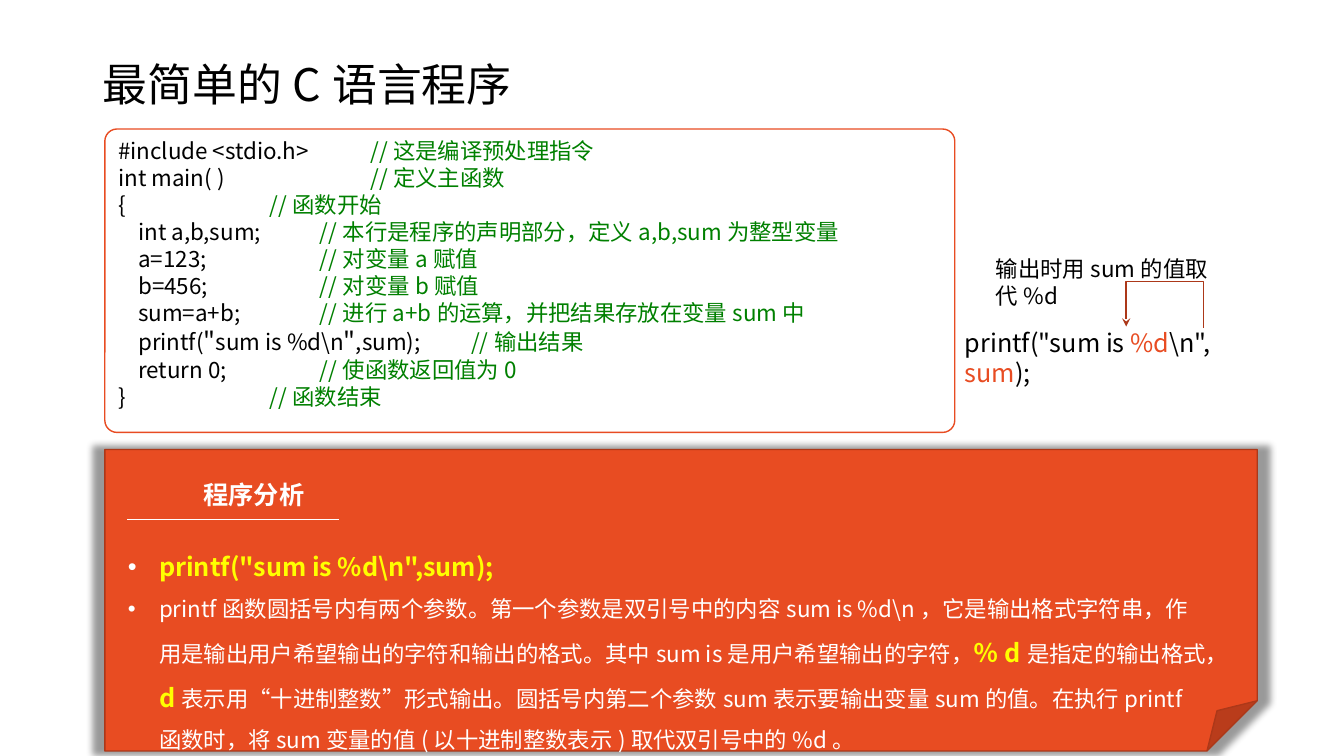
from lxml.etree import SubElement
from pptx import Presentation
from pptx.dml.color import RGBColor
from pptx.enum.shapes import MSO_CONNECTOR, MSO_SHAPE
from pptx.enum.text import MSO_ANCHOR, MSO_AUTO_SIZE, PP_ALIGN
from pptx.oxml.ns import qn
from pptx.util import Pt

PX = 9144
FONT = "Noto Sans CJK SC"
BLACK = RGBColor(0x00, 0x00, 0x00)
WHITE = RGBColor(0xFF, 0xFF, 0xFF)
GREEN = RGBColor(0x00, 0x80, 0x00)
YELLOW = RGBColor(0xFF, 0xFF, 0x00)
ORANGE = RGBColor(0xE8, 0x4C, 0x22)
RUST = RGBColor(0xAC, 0x38, 0x19)

CODE = [
    ("#include <stdio.h>\t\t", "//这是编译预处理指令"),
    ("int main( )\t\t\t", "//定义主函数"),
    ("{ \t\t\t", "//函数开始"),
    ("    int a,b,sum; \t\t", "//本行是程序的声明部分，定义a,b,sum为整型变量"),
    ("    a=123;\t\t\t", "//对变量a赋值"),
    ("    b=456;\t\t\t", "//对变量b赋值"),
    ("    sum=a+b;\t\t", "//进行a+b的运算，并把结果存放在变量sum中"),
    ("    printf(\"sum is %d\\n\",sum); \t", "//输出结果"),
    ("    return 0;\t\t", "//使函数返回值为0"),
    ("}\t\t\t", "//函数结束"),
]
ANALYSIS = [
    [("printf(\"sum is %d\\n\",sum);", True)],
    [
        ("printf函数圆括号内有两个参数。第一个参数是双引号中的内容sum is %d\\n，"
         "它是输出格式字符串，作用是输出用户希望输出的字符和输出的格式。"
         "其中sum is是用户希望输出的字符，", False),
        ("％d", True),
        ("是指定的输出格式，", False),
        ("d", True),
        ("表示用“十进制整数”形式输出。圆括号内第二个参数sum表示要输出变量sum的值。"
         "在执行printf函数时，将sum变量的值(以十进制整数表示)取代双引号中的%d。", False),
    ],
]
CALL = [("printf(\"sum is ", BLACK), ("%d", ORANGE), ("\\n\", ", BLACK),
        ("sum", ORANGE), (");", BLACK)]


def px(*lengths):
    return [n * PX for n in lengths]


def add_run(p, text, size=16, color=BLACK, bold=False):
    r = p.add_run()
    r.text = text
    r.font.size = Pt(size)
    r.font.bold = bold
    r.font.color.rgb = color
    r.font.name = FONT
    SubElement(r.font._element, qn("a:ea"), typeface=FONT)


def add_paragraph(tf, first, align=PP_ALIGN.LEFT):
    p = tf.paragraphs[0] if first else tf.add_paragraph()
    p.alignment = align
    return p


def add_text_box(shapes, *box, grow=True):
    tf = shapes.add_textbox(*px(*box)).text_frame
    tf.word_wrap = True
    tf.auto_size = MSO_AUTO_SIZE.SHAPE_TO_FIT_TEXT if grow else MSO_AUTO_SIZE.NONE
    return tf


def add_panel(shapes, kind, *box, fill, line):
    sp = shapes.add_shape(kind, *px(*box))
    sp.shadow.inherit = False
    sp.fill.solid()
    sp.fill.fore_color.rgb = fill
    sp.line.color.rgb = line
    sp.line.width = Pt(1)
    return sp


def add_glow_shadow(sp):
    effects = sp._element.spPr.find(qn("a:effectLst"))
    shadow = SubElement(effects, qn("a:outerShdw"), blurRad=str(Pt(5)), dist="0",
                        sx="102000", sy="102000", algn="ctr", rotWithShape="0")
    color = SubElement(shadow, qn("a:srgbClr"), val="000000")
    SubElement(color, qn("a:alpha"), val="40000")


def add_bullet(p):
    pPr = p._p.get_or_add_pPr()
    pPr.set("marL", str(31 * PX))
    pPr.set("indent", str(-31 * PX))
    color = SubElement(pPr, qn("a:buClr"))
    SubElement(color, qn("a:srgbClr"), val=str(WHITE))
    SubElement(pPr, qn("a:buFont"), typeface="Arial")
    SubElement(pPr, qn("a:buChar"), char="•")


def add_code(shapes):
    sp = add_panel(shapes, MSO_SHAPE.ROUNDED_RECTANGLE, 104, 128, 843, 301,
                   fill=WHITE, line=ORANGE)
    sp.adjustments[0] = 0.04
    tf = sp.text_frame
    tf.word_wrap = True
    tf.vertical_anchor = MSO_ANCHOR.TOP
    for i, (code, comment) in enumerate(CODE):
        p = add_paragraph(tf, i == 0)
        for j, part in enumerate(code.split('"')):
            if j:
                add_run(p, '"', size=18)
            add_run(p, part)
        add_run(p, comment, color=GREEN)


def add_heading(shapes):
    group = shapes.add_group_shape().shapes
    tf = add_text_box(group, 192, 471, 136, 46)
    add_run(add_paragraph(tf, True, PP_ALIGN.JUSTIFY), "程序分析",
            size=18, color=WHITE, bold=True)
    rule = group.add_connector(MSO_CONNECTOR.STRAIGHT, *px(126, 515, 336, 515))
    rule.line.color.rgb = WHITE
    rule.line.width = Pt(0.5)
    SubElement(rule._element.spPr, qn("a:effectLst"))


def add_analysis(shapes):
    tf = add_text_box(shapes, 117, 527, 1091, 218)
    for i, parts in enumerate(ANALYSIS):
        p = add_paragraph(tf, i == 0)
        p.line_spacing = 1.5
        add_bullet(p)
        for text, key in parts:
            add_run(p, text, size=18 if key else 16,
                    color=YELLOW if key else WHITE, bold=key)


def add_elbow_arrow(shapes):
    builder = shapes.build_freeform(1194, 325, scale=PX)
    builder.add_line_segments([(1194, 279), (1117, 279), (1117, 324)], close=False)
    sp = builder.convert_to_shape()
    sp.shadow.inherit = False
    sp.fill.background()
    sp.line.color.rgb = RUST
    sp.line.width = Pt(1)
    SubElement(sp.line._get_or_add_ln(), qn("a:tailEnd"), type="stealth")


def main():
    prs = Presentation()
    prs.slide_width, prs.slide_height = px(1333, 750)
    s = prs.slides.add_slide(prs.slide_layouts[6])

    tf = add_text_box(s.shapes, 92, 14, 1150, 145, grow=False)
    tf.vertical_anchor = MSO_ANCHOR.MIDDLE
    p = add_paragraph(tf, True)
    p.line_spacing = 0.9
    add_run(p, "最简单的C语言程序", size=32)

    add_code(s.shapes)
    add_glow_shadow(add_panel(s.shapes, MSO_SHAPE.FOLDED_CORNER, 104, 446, 1143, 299,
                              fill=ORANGE, line=RUST))
    add_heading(s.shapes)
    add_analysis(s.shapes)

    p = add_paragraph(add_text_box(s.shapes, 947, 320, 307, 40), True)
    for text, color in CALL:
        add_run(p, text, size=18, color=color)
    add_elbow_arrow(s.shapes)
    p = add_paragraph(add_text_box(s.shapes, 978, 248, 277, 37), True)
    add_run(p, "输出时用sum的值取代%d")

    prs.save("out.pptx")


if __name__ == "__main__":
    main()
